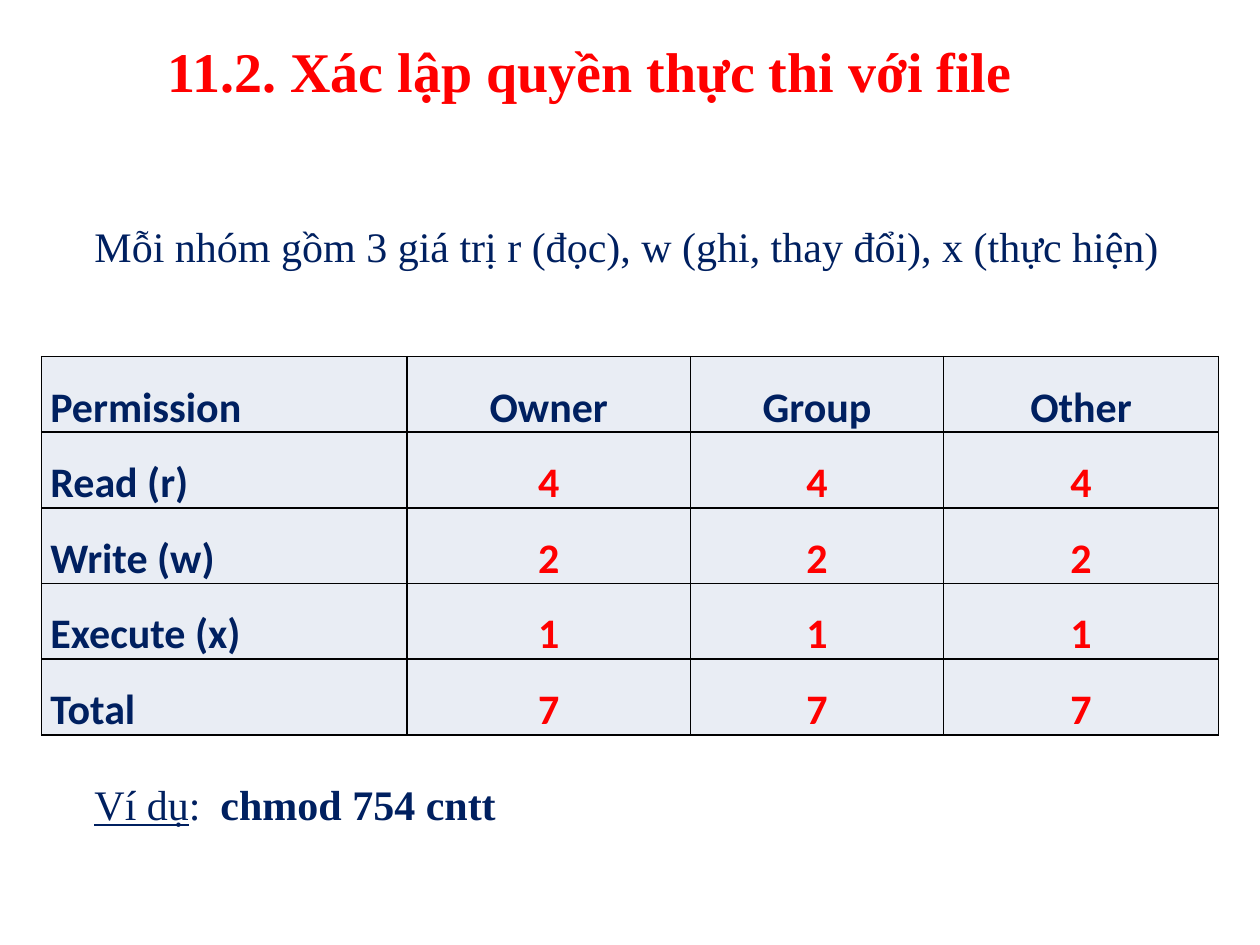
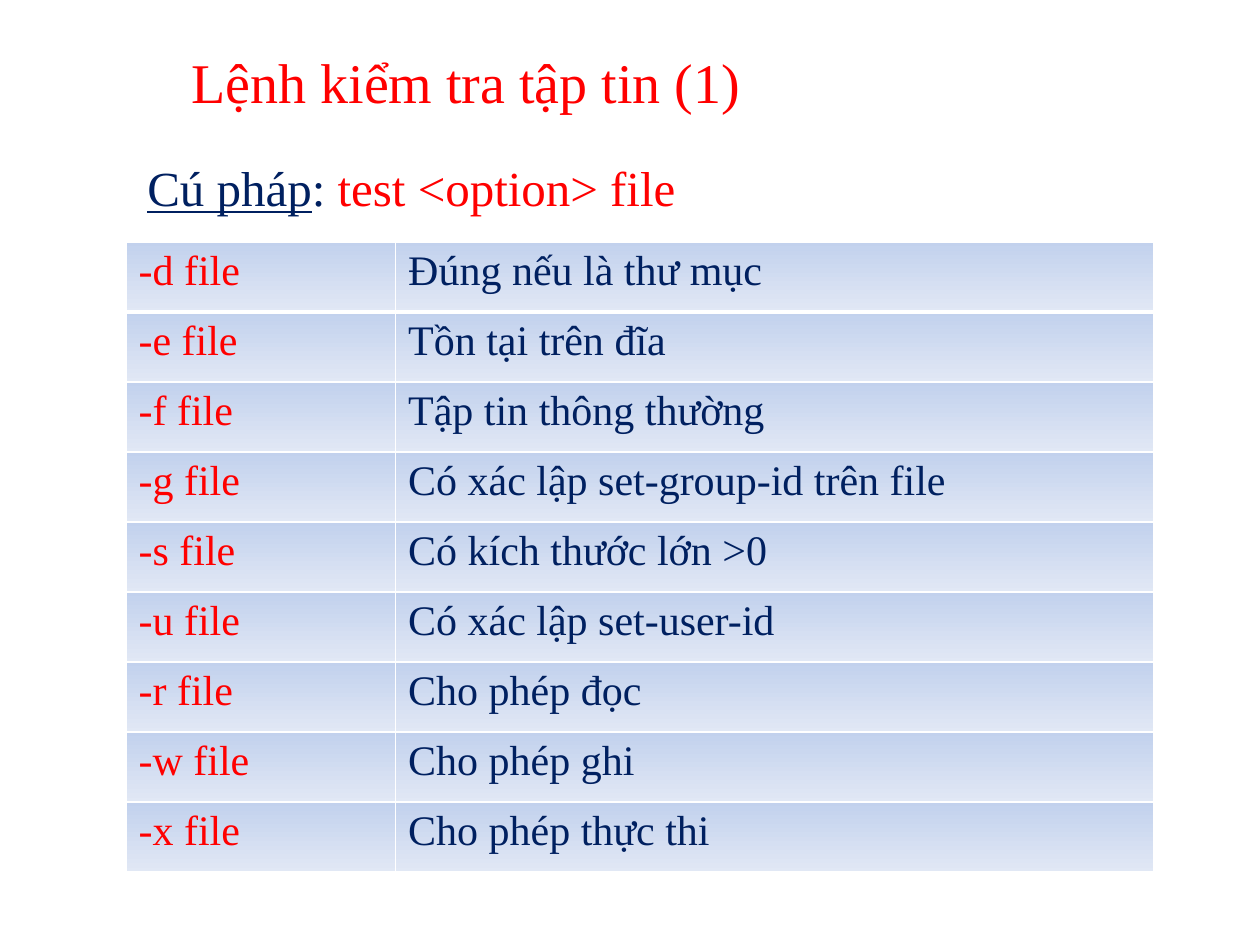
"""Build two slides on file permissions and file tests."""
from lxml.etree import SubElement
from pptx import Presentation
from pptx.dml.color import RGBColor
from pptx.enum.text import MSO_ANCHOR, PP_ALIGN
from pptx.oxml import parse_xml
from pptx.oxml.ns import nsdecls, qn
from pptx.util import Inches, Pt

RED = RGBColor(0xFF, 0x00, 0x00)
NAVY = RGBColor(0x00, 0x20, 0x60)
BLACK = RGBColor(0x00, 0x00, 0x00)
WHITE = RGBColor(0xFF, 0xFF, 0xFF)
PALE = RGBColor(0xE9, 0xED, 0xF4)
SKY = RGBColor(0xC2, 0xD1, 0xED)
MIST = RGBColor(0xE1, 0xE8, 0xF5)
SERIF, SANS = "Times New Roman", "Calibri"

RIGHTS_TITLE = "11.2. Xác lập quyền thực thi với file"
INTRO = "Mỗi nhóm gồm 3 giá trị r (đọc), w (ghi, thay đổi), x (thực hiện)"
SAMPLE = [("Ví dụ", {"under": True}), ":\t", ("chmod 754 cntt", {"bold": True})]
RIGHTS = [
    ("Permission", "Owner", "Group", "Other"),
    ("Read (r)", "4", "4", "4"),
    ("Write (w)", "2", "2", "2"),
    ("Execute (x)", "1", "1", "1"),
    ("Total", "7", "7", "7"),
]
TEST_TITLE = "Lệnh kiểm tra tập tin (1)"
SYNTAX = [("Cú pháp", {"under": True}), ": ", ("test <option> file", {"color": RED})]
TESTS = [
    ("-d file", "Đúng nếu là thư mục"),
    ("-e file", "Tồn tại trên đĩa"),
    ("-f file", "Tập tin thông thường"),
    ("-g file", "Có xác lập set-group-id trên file"),
    ("-s file", "Có kích thước lớn >0"),
    ("-u file", "Có xác lập set-user-id"),
    ("-r file", "Cho phép đọc"),
    ("-w file", "Cho phép ghi"),
    ("-x file", "Cho phép thực thi"),
]


def write(para, text, size=24, font=SERIF, color=NAVY, bold=False, under=False,
          align=PP_ALIGN.LEFT, lead=None, gap=None, indent=0):
    """Fill a paragraph with a string or a list of styled parts."""
    if indent:
        para._p.get_or_add_pPr().set("marL", str(Inches(indent)))
    para.alignment = align
    if lead:
        para.line_spacing = lead
    if gap:
        para.space_before = Pt(gap)
    for part in [text] if isinstance(text, str) else text:
        words, own = (part, {}) if isinstance(part, str) else part
        run = para.add_run()
        run.text = words
        face = run.font
        face.name, face.size = font, Pt(size)
        face.color.rgb = own.get("color", color)
        face.bold = own.get("bold", bold)
        face.underline = own.get("under", under)


def frame(slide, left, top, width, height):
    """Add an unpadded, wrapping text box and return its text frame."""
    box = slide.shapes.add_textbox(*map(Inches, (left, top, width, height)))
    area = box.text_frame
    area.word_wrap = True
    area.margin_left = area.margin_right = area.margin_top = area.margin_bottom = 0
    return area


def title(slide, text, left, top, width, **form):
    """Write the slide title."""
    area = frame(slide, left, top, width, 0.54)
    write(area.paragraphs[0], text, size=32, color=RED, **form)


def border(cell, color, thick):
    """Outline a cell; thick maps side letters to widths other than 1 pt."""
    props = cell._tc.get_or_add_tcPr()
    for spot, side in enumerate("LRTB"):
        line = parse_xml(f'<a:ln{side} {nsdecls("a")} w="{Pt(thick.get(side, 1))}"/>')
        fill = SubElement(line, qn("a:solidFill"))
        SubElement(fill, qn("a:srgbClr"), val=str(color))
        props.insert(spot, line)


def flat(cell):
    """Fill a cell with one pale colour."""
    cell.fill.solid()
    cell.fill.fore_color.rgb = PALE


def fade(cell):
    """Fill a cell with a gradient from top to bottom."""
    cell.fill.gradient()
    cell.fill.gradient_angle = 270
    for stop, color in zip(cell.fill.gradient_stops, (SKY, MIST)):
        stop.color.rgb = color


def grid(slide, data, left, top, cols, height, paint, edge, form, pad=None, rule=1):
    """Add a table; form gives the text format for a row and column."""
    spot = map(Inches, (left, top, sum(cols), height))
    table = slide.shapes.add_table(len(data), len(cols), *spot).table
    table.first_row = table.horz_banding = False
    for col, width in zip(table.columns, cols):
        col.width = Inches(width)
    for r, row in enumerate(data):
        table.rows[r].height = Inches(height / len(data))
        for c, text in enumerate(row):
            cell = table.cell(r, c)
            cell.vertical_anchor = MSO_ANCHOR.TOP
            if pad:
                cell.margin_left = cell.margin_right = Inches(pad)
                cell.margin_top = cell.margin_bottom = 0
            paint(cell)
            border(cell, edge, {"B": rule} if r == 0 else {"T": rule} if r == 1 else {})
            write(cell.text_frame.paragraphs[0], text, **form(r, c))


def right_form(r, c):
    """Format of the permission table."""
    return dict(font=SANS, bold=True, lead=1.5, color=RED if r and c else NAVY,
                align=PP_ALIGN.CENTER if c else PP_ALIGN.JUSTIFY)


def test_form(r, c):
    """Format of the test table."""
    return dict(color=NAVY if c else RED)


def main():
    """Build and save the deck."""
    deck = Presentation()
    deck.slide_width, deck.slide_height = Inches(10), Inches(7.5)
    rights, tests = (deck.slides.add_slide(deck.slide_layouts[6]) for _ in range(2))

    title(rights, RIGHTS_TITLE, 1.33, 0.29, 8.5, bold=True)
    body = frame(rights, 0.75, 1.75, 8.5, 4.85)
    write(body.paragraphs[0], INTRO)
    write(body.add_paragraph(), SAMPLE, gap=290)
    grid(rights, RIGHTS, 0.33, 2.83, (2.9, 2.25, 2.01, 2.18), 3, flat, BLACK,
         right_form, pad=0.07)

    title(tests, TEST_TITLE, 1.52, 0.38, 8.4)
    body = frame(tests, 0.17, 1.25, 9.67, 0.5)
    write(body.paragraphs[0], SYNTAX, size=28, indent=1)
    grid(tests, TESTS, 1, 1.92, (2.14, 6.02), 5, fade, WHITE, test_form, rule=3)

    deck.save("out.pptx")


if __name__ == "__main__":
    main()
